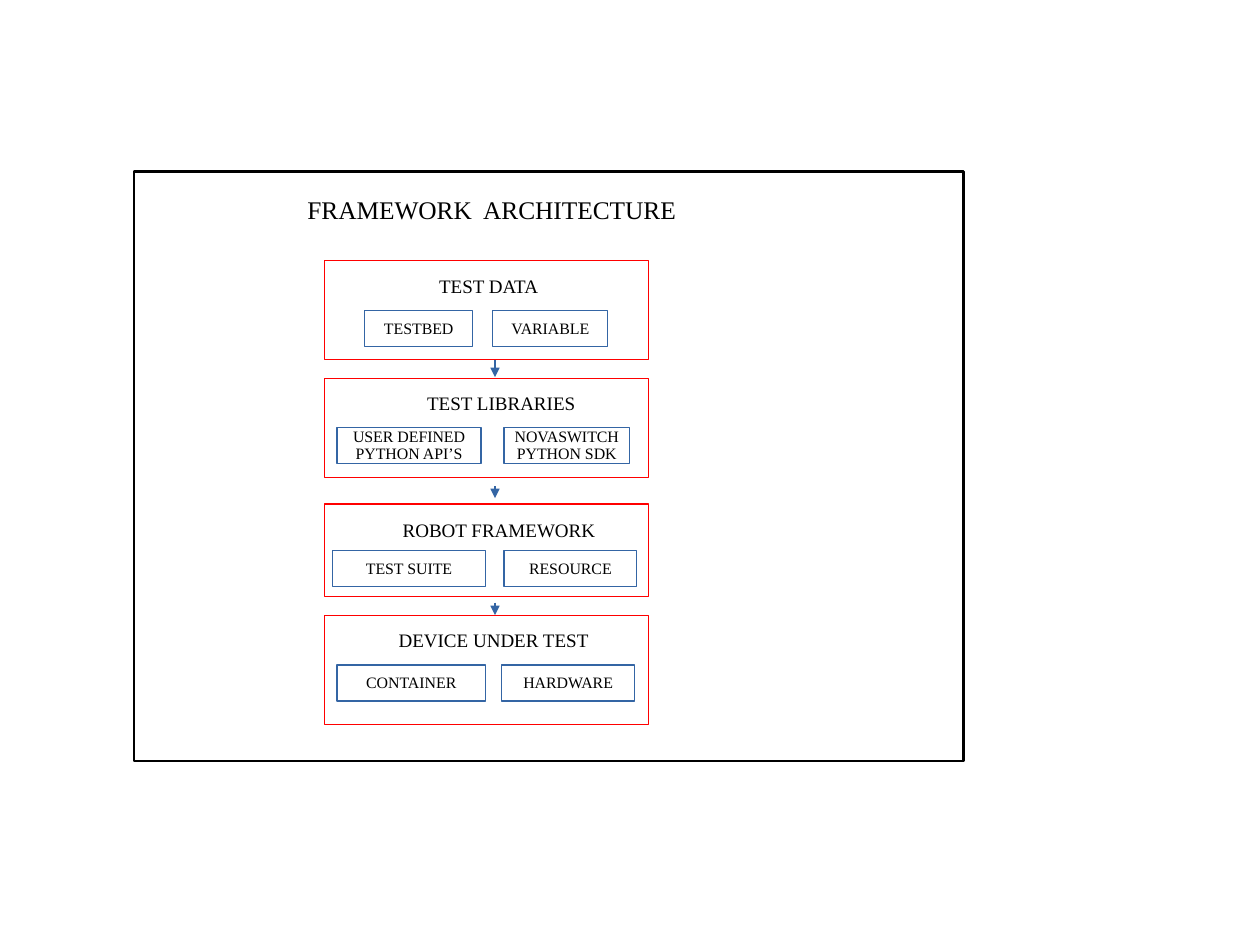
from pptx import Presentation
from pptx.dml.color import RGBColor
from pptx.enum.shapes import MSO_CONNECTOR, MSO_SHAPE
from pptx.enum.text import MSO_ANCHOR as ANCHOR, PP_ALIGN as ALIGN
from pptx.oxml.ns import qn
from pptx.util import Cm, Pt
from lxml import etree

BLACK = RGBColor(0x00, 0x00, 0x00)
WHITE = RGBColor(0xFF, 0xFF, 0xFF)
RED = RGBColor(0xFF, 0x00, 0x00)
BLUE = RGBColor(0x34, 0x65, 0xA4)

PANEL_LEFT, PANEL_WIDTH = 7.21, 7.21
LABEL_WIDTH, BOX_HEIGHT, ARROW_X = 6.1, 0.8, 11

# Panel top and height; label, its centre and top; box top; boxes with left and width
PANELS = [
    (5.79, 2.21, "TEST DATA", 10.86, 5.99, 6.91,
     [("TESTBED", 8.1, 2.41), ("VARIABLE", 10.95, 2.56)]),
    (8.41, 2.21, "TEST LIBRARIES", 11.14, 8.61, 9.5,
     [("USER DEFINED\nPYTHON API’S", 7.49, 3.2), ("NOVASWITCH\nPYTHON SDK", 11.2, 2.79)]),
    (11.2, 2.06, "ROBOT FRAMEWORK", 11.09, 11.43, 12.24,
     [("TEST SUITE", 7.39, 3.4), ("RESOURCE", 11.2, 2.95)]),
    (13.67, 2.44, "DEVICE UNDER TEST", 10.97, 13.87, 14.78,
     [("CONTAINER", 7.49, 3.3), ("HARDWARE", 11.15, 2.95)]),
]
ARROWS = [(8, 8.38), (10.8, 11.07), (13.39, 13.67)]


def set_text(sp, text, size, align=ALIGN.CENTER, anchor=ANCHOR.TOP, wrap=True):
    tf = sp.text_frame
    tf.text = text
    frame_format = {"word_wrap": wrap, "vertical_anchor": anchor,
                    "margin_left": Cm(0.25), "margin_right": Cm(0.25),
                    "margin_top": Cm(0.15), "margin_bottom": Cm(0.13)}
    for name, value in frame_format.items():
        setattr(tf, name, value)
    for p in tf.paragraphs:
        p.alignment, p.line_spacing, p.space_before = align, 0.92, Pt(0)
        for r in p.runs:
            for name, value in {"name": "Times New Roman", "size": Pt(size)}.items():
                setattr(r.font, name, value)
            r.font.color.rgb = BLACK


def add_rect(left, top, width, height, color, weight=0.75):
    sp = s.shapes.add_shape(MSO_SHAPE.RECTANGLE, Cm(left), Cm(top), Cm(width), Cm(height))
    sp.shadow.inherit = False
    sp.fill.solid()
    sp.fill.fore_color.rgb = WHITE
    sp.line.color.rgb = color
    sp.line.width = Pt(weight)
    return sp


prs = Presentation()
prs.slide_width, prs.slide_height = Cm(28), Cm(21)
s = prs.slides.add_slide(prs.slide_layouts[5])

# Outer frame
frame = add_rect(2.98, 3.81, 18.43, 13.1, BLACK, 1.5)
frame.fill.background()

# Title
title = s.shapes.title
title.left, title.top, title.width, title.height = Cm(6.58), Cm(4.22), Cm(13.8), Cm(1.07)
set_text(title, "FRAMEWORK  ARCHITECTURE", 16, align=ALIGN.LEFT)

# Panels with label and boxes
for top, height, label, center, label_top, box_top, boxes in PANELS:
    add_rect(PANEL_LEFT, top, PANEL_WIDTH, height, RED)
    tb = s.shapes.add_textbox(Cm(center - LABEL_WIDTH / 2), Cm(label_top),
                              Cm(LABEL_WIDTH), Cm(BOX_HEIGHT))
    set_text(tb, label, 12)
    for text, left, width in boxes:
        box = add_rect(left, box_top, width, BOX_HEIGHT, BLUE)
        set_text(box, text, 10, anchor=ANCHOR.MIDDLE, wrap=False)

# Arrows between panels
for start, end in ARROWS:
    arrow = s.shapes.add_connector(MSO_CONNECTOR.STRAIGHT, Cm(ARROW_X), Cm(start),
                                   Cm(ARROW_X), Cm(end))
    arrow.line.color.rgb = BLUE
    arrow.line.width = Pt(0.75)
    etree.SubElement(arrow.line._get_or_add_ln(), qn("a:tailEnd"), type="triangle")
    etree.SubElement(arrow._element.spPr, qn("a:effectLst"))

prs.save("out.pptx")
